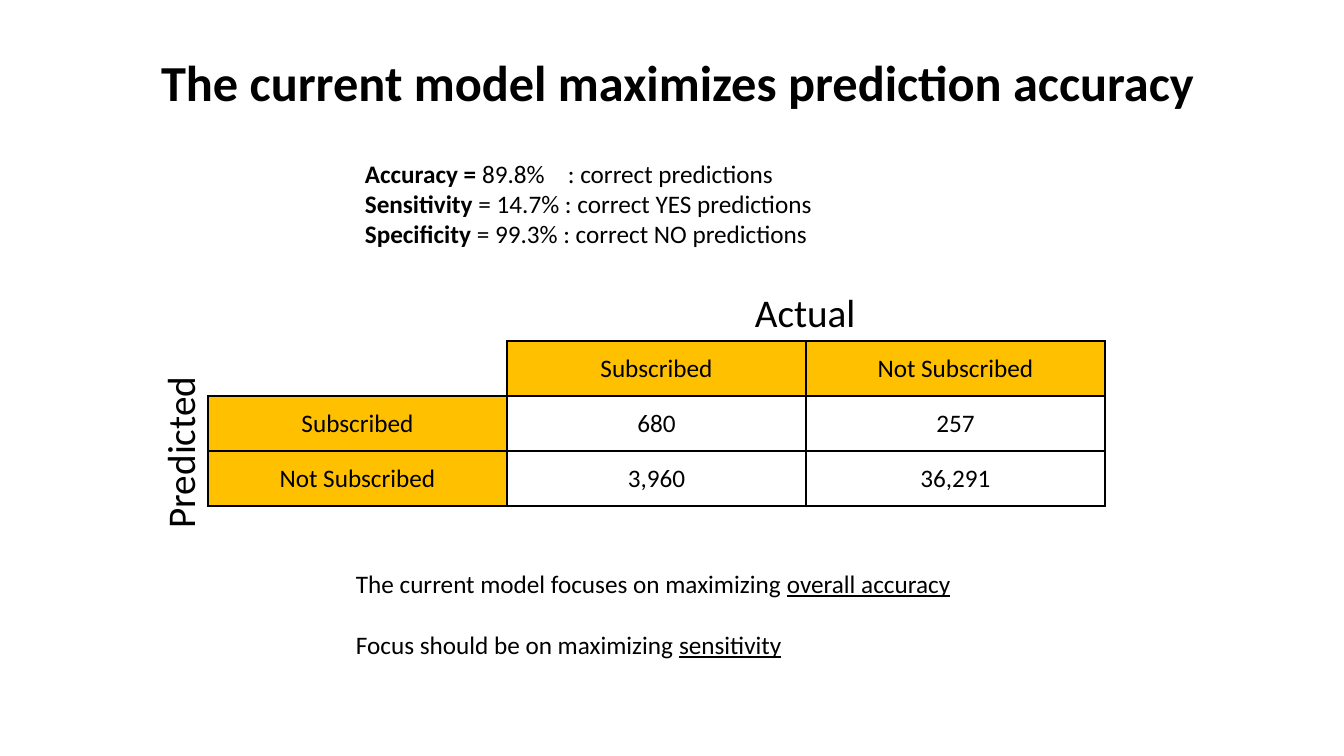
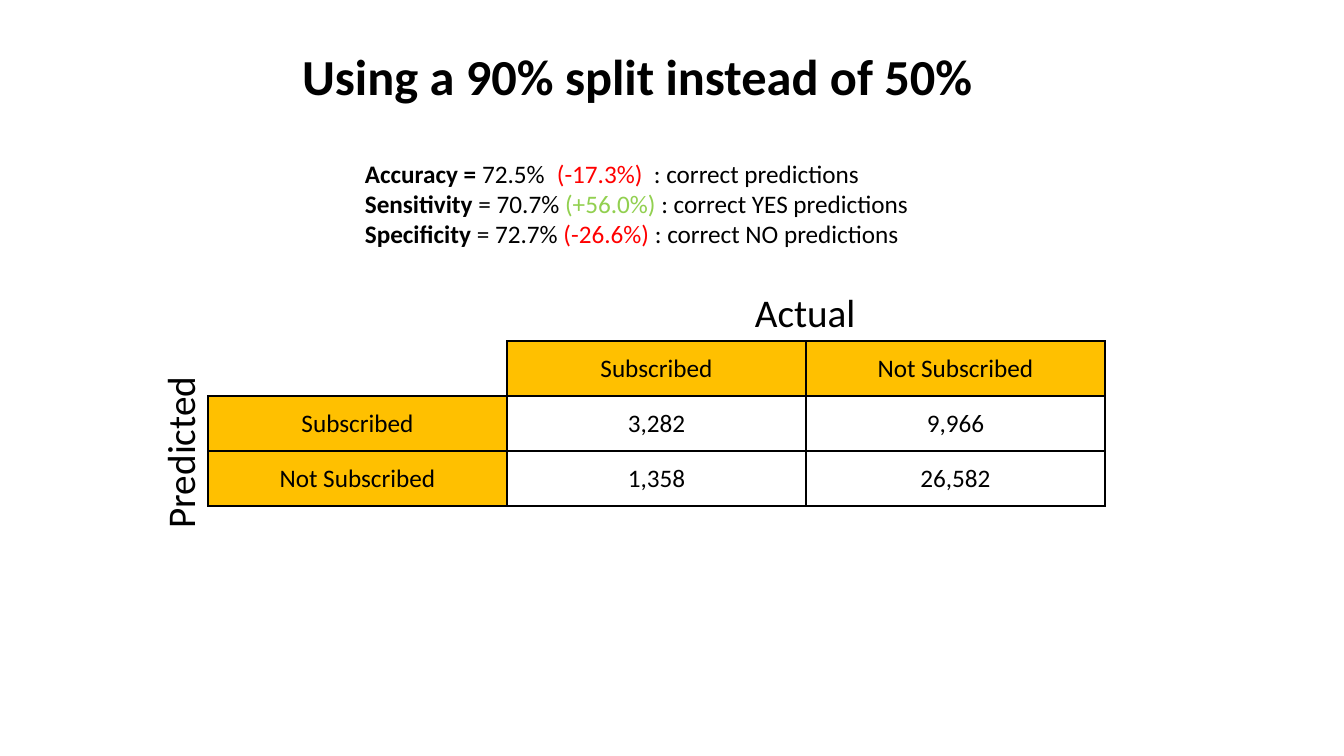
from lxml import etree
from pptx import Presentation, util as u
from pptx.dml.color import RGBColor
from pptx.enum import text
from pptx.oxml import ns

SCALE = 914400 / 100.8
FONT = "Calibri"
BLACK = RGBColor(0, 0, 0)
WHITE = RGBColor(255, 255, 255)
AMBER = RGBColor(0xFF, 0xC0, 0)
RED = RGBColor(255, 0, 0)
GREEN = RGBColor(0x92, 0xD0, 0x50)
PAGE_WIDTH, PAGE_HEIGHT = 1344, 756
TITLE_WIDTH = 1159
COLUMN_WIDTH, ROW_HEIGHT = 299, 55
CATEGORIES = ["Subscribed", "Not Subscribed"]


def px(*lengths):
    return [u.Emu(round(length * SCALE)) for length in lengths]


def write(para, size, *spans):
    para.font.name = FONT
    para.font.size = u.Pt(size)
    para.font.color.rgb = BLACK
    for words, style in spans:
        span = para.add_run()
        span.text = words
        if style == "bold":
            span.font.bold = True
        elif style == "underline":
            span.font.underline = True
        elif style:
            span.font.color.rgb = style


slides = [
    {
        "title": "The current model maximizes prediction accuracy",
        "title_at": (151, 55),
        "metrics": [
            [("Accuracy = ", "bold"), ("89.8%\t: correct predictions", None)],
            [("Sensitivity ", "bold"), ("= 14.7% : correct YES predictions", None)],
            [("Specificity", "bold"), (" = 99.3% : correct NO predictions", None)],
        ],
        "accuracy_tabs": [203],
        "counts": [["680", "257"], ["3,960", "36,291"]],
        "notes": [
            [("The current model focuses on maximizing ", None), ("overall accuracy", "underline")],
            [("Focus should be on maximizing ", None), ("sensitivity", "underline")],
        ],
    },
    {
        "title": "Using a 90% split instead of 50%",
        "title_at": (292, 49),
        "metrics": [
            [("Accuracy = ", "bold"), ("72.5%\t", None), ("(-17.3%)\t", RED),
             (": correct predictions", None)],
            [("Sensitivity ", "bold"), ("= 70.7% ", None), ("(+56.0%)", GREEN),
             (" : correct YES predictions", None)],
            [("Specificity", "bold"), (" = 72.7% ", None), ("(-26.6%)", RED),
             (" : correct NO predictions", None)],
        ],
        "accuracy_tabs": [192, 289],
        "counts": [["3,282", "9,966"], ["1,358", "26,582"]],
        "notes": [],
    },
]

deck = Presentation()
deck.slide_width, deck.slide_height = px(PAGE_WIDTH, PAGE_HEIGHT)

for content in slides:
    page = deck.slides.add_slide(deck.slide_layouts[5])

    title = page.shapes.title
    left, top = content["title_at"]
    title.left, title.top, title.width, title.height = px(
        left, top, min(TITLE_WIDTH, PAGE_WIDTH - left), 60)
    title.text_frame.auto_size = text.MSO_AUTO_SIZE.NONE
    title.text_frame.vertical_anchor = text.MSO_ANCHOR.MIDDLE
    para = title.text_frame.paragraphs[0]
    para.alignment = text.PP_ALIGN.LEFT
    para.line_spacing = 0.9
    para.font.bold = True
    write(para, 36, (content["title"], None))

    blocks = [
        ((355, 153, 642, 102), 18, content["metrics"], 0),
        ((745, 283, 254, 57), 28, [[("Actual", None)]], 0),
        ((21, 424, 317, 57), 28, [[("Predicted", None)]], 0),
        ((346, 563, 622, 102), 18, content["notes"], 22),
    ]
    for bounds, size, lines, gap in blocks:
        if not lines:
            continue
        box = page.shapes.add_textbox(*px(*bounds))
        frame = box.text_frame
        frame.word_wrap = True
        for index, line in enumerate(lines):
            para = frame.add_paragraph() if index else frame.paragraphs[0]
            para.space_before = u.Pt(gap if index else 0)
            write(para, size, *line)
        if lines is content["metrics"]:
            properties = frame.paragraphs[0]._p.get_or_add_pPr()
            stops = etree.Element(ns.qn("a:tabLst"))
            for stop in px(*content["accuracy_tabs"]):
                etree.SubElement(stops, ns.qn("a:tab"), pos=str(int(stop)), algn="l")
            properties.find(ns.qn("a:defRPr")).addprevious(stops)
        if lines[0][0][0] == "Predicted":
            box.rotation = 270
            frame.paragraphs[0].alignment = text.PP_ALIGN.CENTER

    table = page.shapes.add_table(
        3, 3, *px(208, 341, 3 * COLUMN_WIDTH, 3 * ROW_HEIGHT)).table
    table.first_row = table.horz_banding = False
    for column in table.columns:
        column.width = px(COLUMN_WIDTH)[0]
    for row in table.rows:
        row.height = px(ROW_HEIGHT)[0]
    matrix = [["", *CATEGORIES]] + [
        [name, *counts] for name, counts in zip(CATEGORIES, content["counts"])]
    for r, values in enumerate(matrix):
        for c, value in enumerate(values):
            cell = table.cell(r, c)
            cell.vertical_anchor = text.MSO_ANCHOR.MIDDLE
            corner = r == c == 0
            if not corner and 0 in (r, c):
                cell.fill.solid()
                cell.fill.fore_color.rgb = AMBER
            else:
                cell.fill.background()
            if value:
                para = cell.text_frame.paragraphs[0]
                para.alignment = text.PP_ALIGN.CENTER
                write(para, 18, (value, None))
            properties = cell._tc.get_or_add_tcPr()
            for position, side in enumerate(["lnL", "lnR", "lnT", "lnB"]):
                color = WHITE if corner and side in ("lnL", "lnT") else BLACK
                border = etree.Element(ns.qn("a:" + side), w=str(int(u.Pt(1))))
                paint = etree.SubElement(border, ns.qn("a:solidFill"))
                etree.SubElement(paint, ns.qn("a:srgbClr"), val=str(color))
                properties.insert(position, border)

deck.save("out.pptx")
